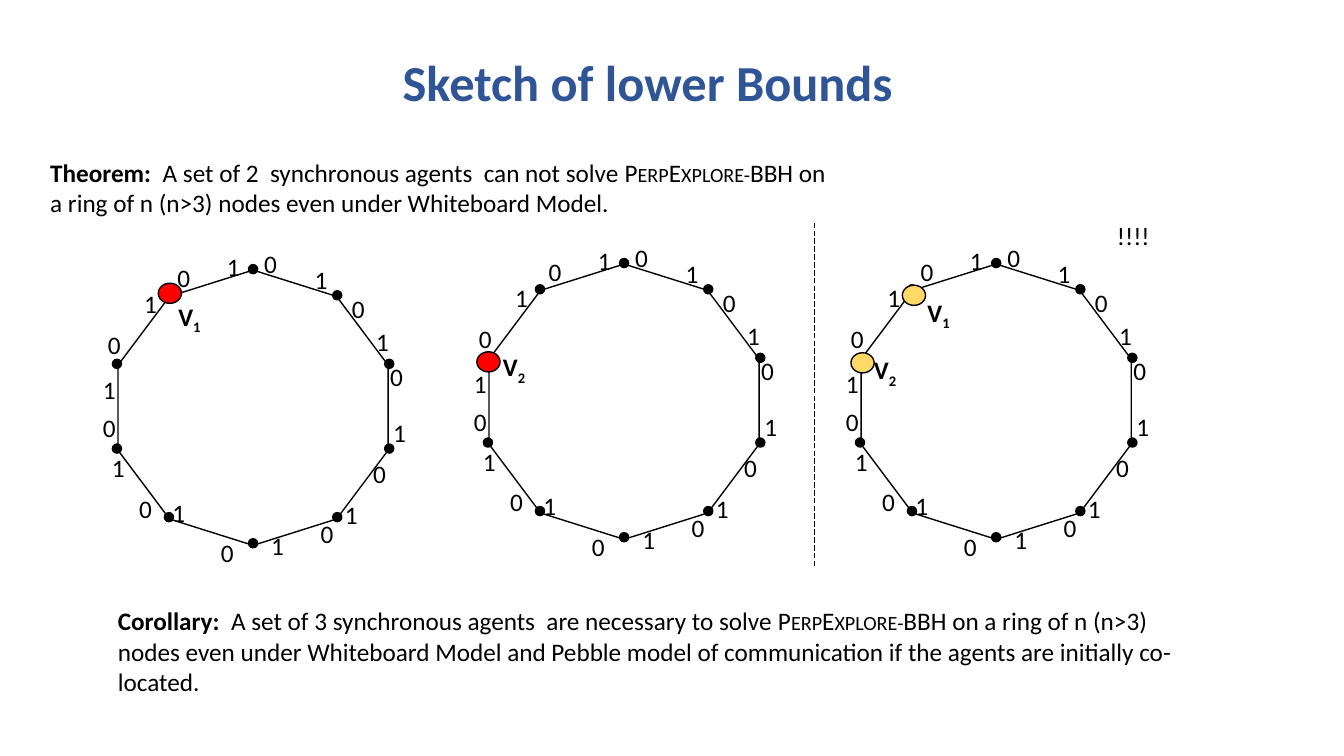
from math import cos, pi, sin
from lxml.etree import SubElement
from pptx import Presentation
from pptx.dml.color import RGBColor
from pptx.enum.dml import MSO_LINE
from pptx.enum.shapes import MSO_CONNECTOR, MSO_SHAPE
from pptx.enum.text import MSO_ANCHOR, MSO_AUTO_SIZE, PP_ALIGN
from pptx.oxml.ns import qn
from pptx.util import Emu, Pt

BLACK = RGBColor(0x00, 0x00, 0x00)
RED = RGBColor(0xFF, 0x00, 0x00)
GOLD = RGBColor(0xFF, 0xD9, 0x66)
BLUE = RGBColor(0x2F, 0x55, 0x97)

PX = 9144
DOT = 9
BODY = {"name": "Calibri", "size": Pt(18), "bold": False}
HEAD = {"name": "Calibri", "size": Pt(36), "bold": True}
FRAME = {"word_wrap": True, "auto_size": MSO_AUTO_SIZE.SHAPE_TO_FIT_TEXT}
TIGHT = {"margin_left": 0, "margin_right": 0}
MARKS = {"bold": ("b", "1"), "small": ("cap", "small"), "sub": ("baseline", "-25000")}

PORTS = {
    "0": [(59, -13), (145, -27), (21, 216), (232, 18), (270, 86),
          (253, 182), (201, 241), (102, 260), (-10, 54), (-15, 136)],
    "1": [(108, -24), (26, 13), (-15, 98), (-6, 176), (54, 220),
          (152, 253), (225, 222), (273, 141), (256, 51), (195, -11)],
}


def apply(item, style):
    for key, value in style.items():
        setattr(item, key, value)


class Board:
    """Holds the style and the current slide, and draws each kind of element."""

    def __init__(self, deck):
        self.slide = deck.slides.add_slide(deck.slide_layouts[5])
        self.home = self.slide.shapes

    def px(self, *sizes):
        return [Emu(round(size * PX)) for size in sizes]

    def run(self, para, text, style, color, marks=()):
        run = para.add_run()
        run.text = text
        apply(run.font, style)
        run.font.color.rgb = color
        for mark in marks:
            run.font._element.set(*MARKS[mark])

    def title(self, text, *box):
        shape = self.slide.shapes.title
        apply(shape, dict(zip(("left", "top", "width", "height"), self.px(*box))))
        frame = shape.text_frame
        apply(frame, FRAME | {"vertical_anchor": MSO_ANCHOR.MIDDLE})
        para = frame.paragraphs[0]
        para.alignment = PP_ALIGN.CENTER
        self.run(para, text, HEAD, BLUE)

    def text(self, runs, *box, extra=None):
        frame = self.home.add_textbox(*self.px(*box)).text_frame
        apply(frame, FRAME | (extra or {}))
        for words, *marks in runs:
            self.run(frame.paragraphs[0], words, BODY, BLACK, marks)

    def shape(self, kind, fill, *box):
        shape = self.home.add_shape(kind, *self.px(*box))
        shape.shadow.inherit = False
        if fill is None:
            shape.fill.background()
        else:
            shape.fill.solid()
            shape.fill.fore_color.rgb = fill
        shape.line.color.rgb = BLACK
        shape.line.width = Pt(1)
        return shape

    def rule(self, *ends):
        line = self.slide.shapes.add_connector(MSO_CONNECTOR.STRAIGHT, *self.px(*ends))
        line.line.color.rgb = BLACK
        apply(line.line, {"width": Pt(0.5), "dash_style": MSO_LINE.LONG_DASH})
        SubElement(line._element.spPr, qn("a:effectLst"))

    def ring(self, left, top, color, agents, note=None):
        self.home = self.slide.shapes.add_group_shape().shapes
        star = self.shape(MSO_SHAPE.STAR_5_POINT, None, left, top, 268, 247)
        star.adjustments[0] = 0.5
        for step in range(10):
            turn = step * pi / 5
            x = left + 134 + 142 * sin(turn) - DOT / 2
            y = top + 135 - 136 * cos(turn) - DOT / 2
            self.shape(MSO_SHAPE.OVAL, BLACK, x, y, DOT, DOT)
        for digit, spots in PORTS.items():
            for x, y in spots:
                self.text([(digit,)], left + x, top + y, 5, 40, extra=TIGHT)
        for index, spot, label in agents:
            self.shape(MSO_SHAPE.OVAL, color, *spot, 23, 20)
            self.text([("V", "bold"), (index, "bold", "sub")], *label, 74, 40)
        if note:
            self.text([(note,)], 1098, 214, 60, 40)
        self.home = self.slide.shapes


def main():
    deck = Presentation()
    deck.slide_width, deck.slide_height = Emu(1333 * PX), Emu(750 * PX)
    board = Board(deck)
    board.title("Sketch of lower Bounds", 65, 45, 1155, 71)
    board.ring(485, 262, RED, [("2", (473, 349), (489, 344))])
    board.text([
        ("Theorem:  ", "bold"),
        ("A set of 2  synchronous agents  can not solve ",),
        ("PerpExplore-BBH", "small"),
        (" on a ring of n (n>3) nodes even under Whiteboard Model.",),
    ], 40, 151, 797, 71)
    board.ring(117, 268, RED, [("1", (157, 281), (167, 294))])
    board.rule(808, 221, 808, 563)
    board.text([
        ("Corollary:  ", "bold"),
        ("A set of 3 synchronous agents  are necessary to solve ",),
        ("PerpExplore-BBH", "small"),
        (" on a ring of n (n>3) nodes even under Whiteboard Model and Pebble model"
         " of communication if the agents are initially co-located.",),
    ], 107, 596, 1088, 101)
    board.ring(854, 262, GOLD, [
        ("2", (844, 350), (857, 347)),
        ("1", (895, 283), (910, 290)),
    ], "!!!!")
    deck.save("out.pptx")


if __name__ == "__main__":
    main()
